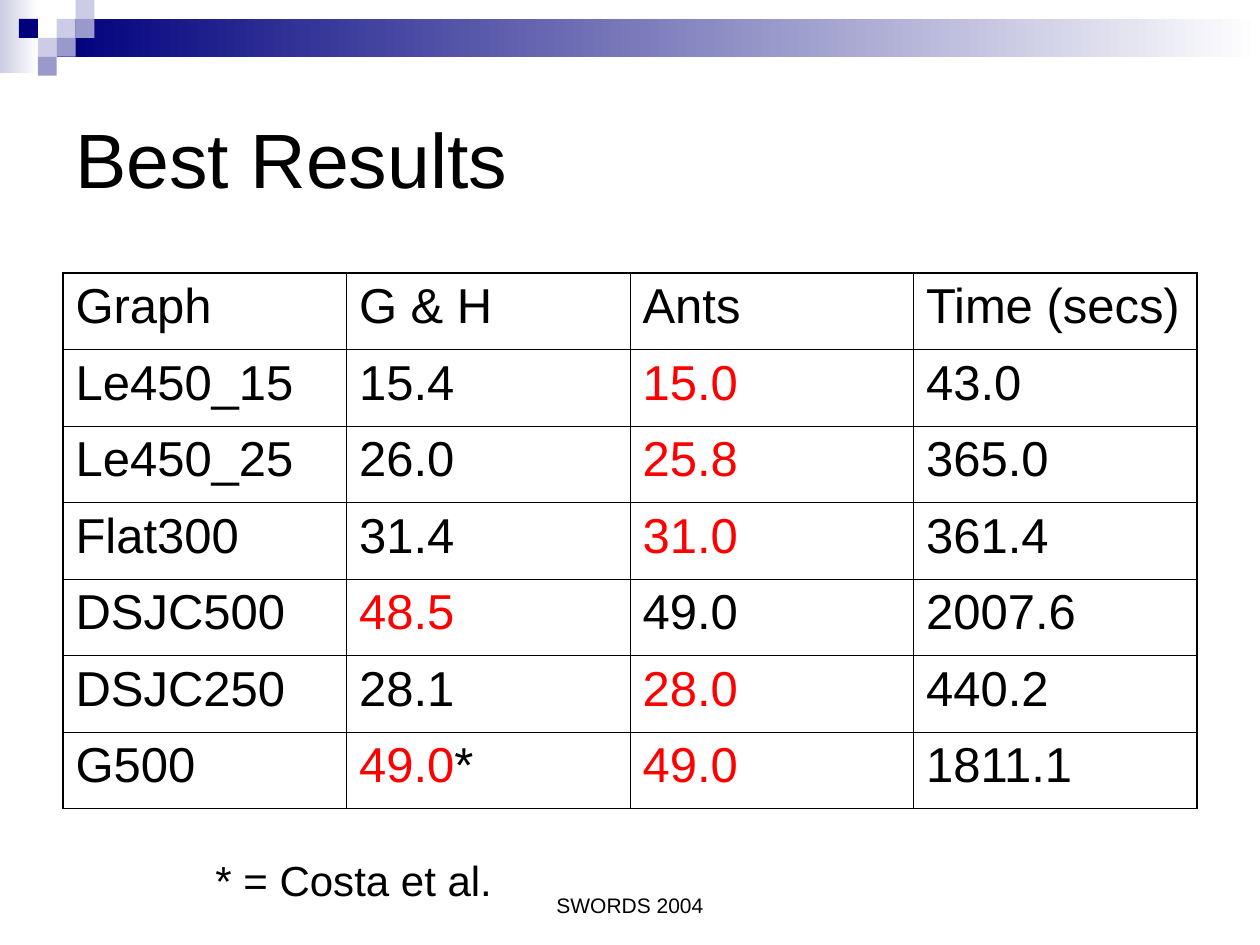
from lxml.etree import SubElement
from pptx import Presentation
from pptx.dml.color import RGBColor
from pptx.enum.shapes import MSO_SHAPE
from pptx.enum.text import MSO_ANCHOR, PP_ALIGN
from pptx.oxml.ns import qn
from pptx.util import Pt

BLACK, WHITE, RED = "000000", "FFFFFF", "FF0000"
NAVY, LILAC, VIOLET = "00007D", "CCCCE6", "9999CC"
SQUARE = 10.8
OUTER_BORDER, INNER_BORDER = 1.08, 0.45

# Column and row of each header square, counted in squares
SQUARES = [(3, 1, LILAC), (4, 0, LILAC), (4, 1, VIOLET), (2, 2, LILAC),
           (1, 1, NAVY), (3, 2, VIOLET), (2, 3, VIOLET)]

RESULTS = [
    ["Graph", "G & H", "Ants", "Time (secs)"],
    ["Le450_15", "15.4", "15.0", "43.0"],
    ["Le450_25", "26.0", "25.8", "365.0"],
    ["Flat300", "31.4", "31.0", "361.4"],
    ["DSJC500", "48.5", "49.0", "2007.6"],
    ["DSJC250", "28.1", "28.0", "440.2"],
    ["G500", "49.0*", "49.0", "1811.1"],
]
# Row and column of the best results
BEST = {(1, 2), (2, 2), (3, 2), (4, 1), (5, 2), (6, 1), (6, 2)}


def color(value):
    return RGBColor.from_string(value)


def write_text(paragraph, text, size=28, fill=BLACK, align=PP_ALIGN.LEFT, before=0):
    paragraph.alignment = align
    paragraph.space_before = Pt(before)
    run = paragraph.add_run()
    run.text = text
    run.font.name = "Arial"
    run.font.size = Pt(size)
    run.font.color.rgb = color(fill)


def add_text_box(slide, left, top, width, height, text, anchor=MSO_ANCHOR.TOP, **text_format):
    box = slide.shapes.add_textbox(Pt(left), Pt(top), Pt(width), Pt(height))
    frame = box.text_frame
    frame.word_wrap = True
    frame.vertical_anchor = anchor
    write_text(frame.paragraphs[0], text, **text_format)


def add_rectangle(slide, left, top, width, height, fill, fade=False):
    shape = slide.shapes.add_shape(
        MSO_SHAPE.RECTANGLE, Pt(left), Pt(top), Pt(width), Pt(height))
    shape.shadow.inherit = False
    shape.line.fill.background()
    if fade:
        shape.fill.gradient()
        shape.fill.gradient_angle = 0
        for stop, value in zip(shape.fill.gradient_stops, (fill, WHITE)):
            stop.color.rgb = color(value)
    else:
        shape.fill.solid()
        shape.fill.fore_color.rgb = color(fill)


def set_border(cell, side, width):
    properties = cell._tc.get_or_add_tcPr()
    line = SubElement(properties, qn(f"a:ln{side}"), w=str(int(Pt(width))))
    solid = SubElement(line, qn("a:solidFill"))
    SubElement(solid, qn("a:srgbClr"), val=BLACK)


def add_results_table(slide, left, top, width, height):
    row_count, column_count = len(RESULTS), len(RESULTS[0])
    table = slide.shapes.add_table(
        row_count, column_count, Pt(left), Pt(top), Pt(width), Pt(height)).table
    table.first_row = table.horz_banding = False
    for row, values in enumerate(RESULTS):
        for column, value in enumerate(values):
            cell = table.cell(row, column)
            # Borders: heavier around the outside
            outside = {"L": column == 0, "R": column == column_count - 1,
                       "T": row == 0, "B": row == row_count - 1}
            for side, is_outer in outside.items():
                set_border(cell, side, OUTER_BORDER if is_outer else INNER_BORDER)
            cell.fill.background()
            # Value, with its footnote mark always black
            paragraph = cell.text_frame.paragraphs[0]
            fill = RED if (row, column) in BEST else BLACK
            write_text(paragraph, value.rstrip("*"), fill=fill, before=7)
            if value.endswith("*"):
                write_text(paragraph, "*", before=7)


def main():
    presentation = Presentation()
    presentation.slide_width, presentation.slide_height = Pt(720), Pt(540)
    slide = presentation.slides.add_slide(presentation.slide_layouts[6])

    # Header band and squares
    add_rectangle(slide, 0, 0, 22, 42, LILAC, fade=True)
    add_rectangle(slide, 3 * SQUARE, SQUARE, 720 - 3 * SQUARE, 2 * SQUARE, NAVY, fade=True)
    for column, row, fill in SQUARES:
        add_rectangle(slide, column * SQUARE, row * SQUARE, SQUARE, SQUARE, fill)

    # Title and results
    add_text_box(slide, 36, 36, 648, 108, "Best Results", anchor=MSO_ANCHOR.MIDDLE, size=44)
    add_results_table(slide, 36, 156, 648, 306)

    # Footnote and footer
    add_text_box(slide, 116, 485, 187, 36, "* = Costa et al.", size=24, before=15)
    add_text_box(slide, 246, 492, 228, 36, "SWORDS 2004", anchor=MSO_ANCHOR.BOTTOM,
                 size=12, align=PP_ALIGN.CENTER)

    presentation.save("out.pptx")


if __name__ == "__main__":
    main()
